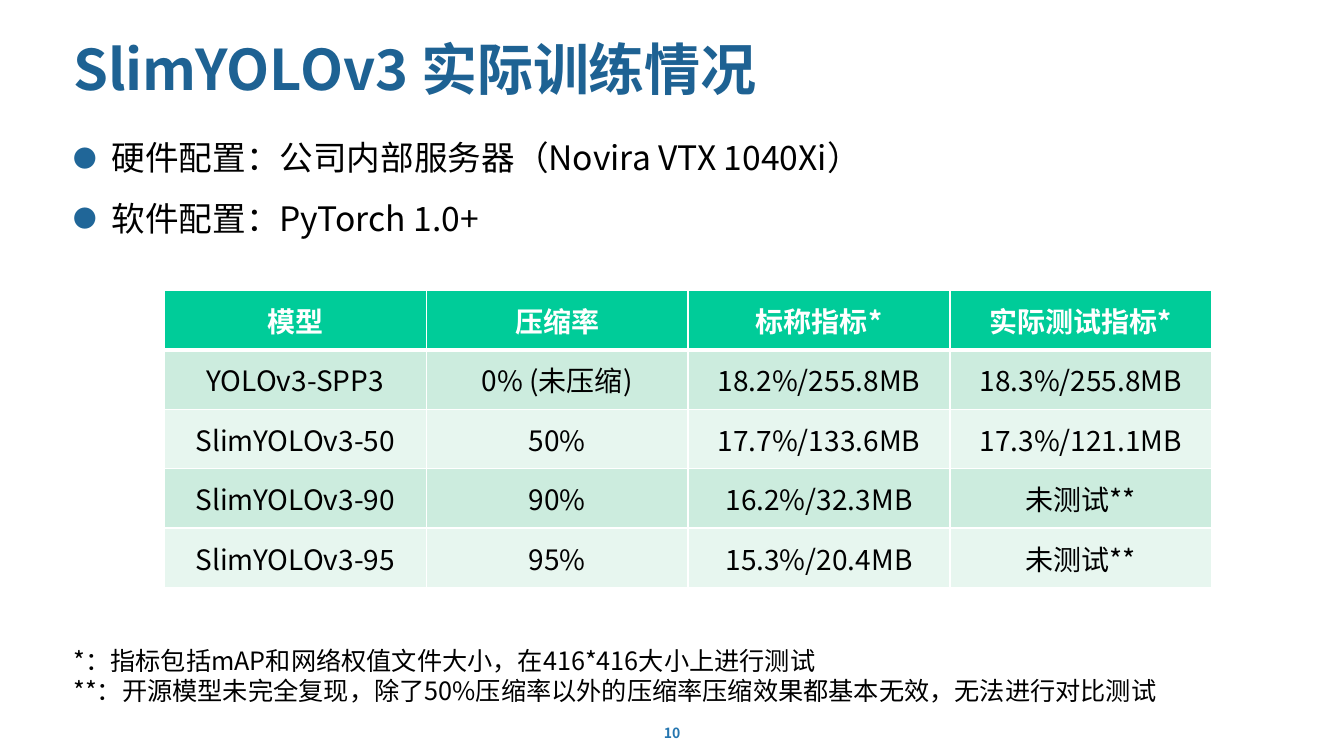
from dataclasses import dataclass

from lxml import etree
from pptx import Presentation, util as u
from pptx.dml.color import RGBColor
from pptx.enum import text
from pptx.oxml import ns


@dataclass(frozen=True)
class Theme:
    font: str = "Noto Sans CJK SC"
    title: str = "1E6293"
    bullet: str = "206698"
    number: str = "2576B0"
    ink: str = "000000"
    paper: str = "FFFFFF"
    header: str = "00CC99"
    bands: tuple = ("CCECDE", "E7F6EF")
    title_size: int = 40
    body_size: int = 24
    table_size: int = 20
    note_size: int = 18
    number_size: int = 10


WIDTH, HEIGHT = 13.33, 7.5
LEFT, TEXT_WIDTH = 0.63 / WIDTH, 12.07 / WIDTH
CENTER = text.PP_ALIGN.CENTER
MIDDLE = text.MSO_ANCHOR.MIDDLE


def write(tf, content, *, size, color, font, bold=False, align=None,
          anchor=text.MSO_ANCHOR.TOP, spacing=None):
    tf.word_wrap = True
    tf.vertical_anchor = anchor
    for i, line in enumerate(content.split("\n")):
        p = tf.add_paragraph() if i else tf.paragraphs[0]
        p.alignment = align
        p.line_spacing = spacing
        r = p.add_run()
        r.text = line
        r.font.size = u.Pt(size)
        r.font.bold = bold
        r.font.name = font
        r.font.color.rgb = RGBColor.from_string(color)
        etree.SubElement(r.font._element, ns.qn("a:ea"), typeface=font)


class Deck:
    def __init__(self, theme):
        self.theme = theme
        self.prs = Presentation()
        self.prs.slide_width = u.Inches(WIDTH)
        self.prs.slide_height = u.Inches(HEIGHT)
        self.s = self.prs.slides.add_slide(self.prs.slide_layouts[6])

    def box(self, x, y, w, h):
        return (int(x * self.prs.slide_width), int(y * self.prs.slide_height),
                int(w * self.prs.slide_width), int(h * self.prs.slide_height))

    def label(self, content, x, y, w, h, **style):
        sp = self.s.shapes.add_textbox(*self.box(x, y, w, h))
        write(sp.text_frame, content, font=self.theme.font, **style)
        return sp

    def bullets(self, content, x, y, w, h, **style):
        sp = self.label(content, x, y, w, h, **style)
        indent = u.Inches(0.38)
        for p in sp.text_frame.paragraphs:
            pPr = p._p.get_or_add_pPr()
            pPr.set("marL", str(indent))
            pPr.set("indent", str(-indent))
            color = etree.SubElement(pPr, ns.qn("a:buClr"))
            etree.SubElement(color, ns.qn("a:srgbClr"), val=self.theme.bullet)
            etree.SubElement(pPr, ns.qn("a:buSzPct"), val="70000")
            etree.SubElement(pPr, ns.qn("a:buFont"), typeface=self.theme.font)
            etree.SubElement(pPr, ns.qn("a:buChar"), char="●")

    def borders(self, cell, **widths):
        tcPr = cell._tc.get_or_add_tcPr()
        for i, (side, width) in enumerate(widths.items()):
            ln = etree.Element(ns.qn(f"a:ln{side}"), w=str(u.Pt(width)))
            fill = etree.SubElement(ln, ns.qn("a:solidFill"))
            etree.SubElement(fill, ns.qn("a:srgbClr"), val=self.theme.paper)
            tcPr.insert(i, ln)

    def table(self, rows, x, y, w, h):
        t = self.theme
        grid = self.s.shapes.add_table(
            len(rows), len(rows[0]), *self.box(x, y, w, h)).table
        for i, row in enumerate(rows):
            head = i == 0
            for j, value in enumerate(row):
                cell = grid.cell(i, j)
                cell.fill.solid()
                cell.fill.fore_color.rgb = RGBColor.from_string(
                    t.header if head else t.bands[(i - 1) % 2])
                cell.vertical_anchor = MIDDLE
                write(cell.text_frame, value, font=t.font, size=t.table_size,
                      color=t.paper if head else t.ink, bold=head,
                      align=CENTER, anchor=MIDDLE)
                self.borders(cell, L=1, R=1, T=3 if i == 1 else 1,
                             B=3 if head else 1)


def main():
    t = Theme()
    deck = Deck(t)
    deck.label("10", 6.22 / WIDTH, 7.14 / HEIGHT, 0.89 / WIDTH, 0.25 / HEIGHT,
               size=t.number_size, color=t.number, bold=True, align=CENTER)
    deck.bullets("硬件配置：公司内部服务器（Novira VTX 1040Xi）\n软件配置：PyTorch 1.0+",
                 LEFT, 1.11 / HEIGHT, TEXT_WIDTH, 1.4 / HEIGHT,
                 size=t.body_size, color=t.ink, spacing=1.5)
    deck.label("SlimYOLOv3 实际训练情况", LEFT, 0.36 / HEIGHT, TEXT_WIDTH, 0.63 / HEIGHT,
               size=t.title_size, color=t.title, bold=True, anchor=MIDDLE)
    deck.table([
        ("模型", "压缩率", "标称指标*", "实际测试指标*"),
        ("YOLOv3-SPP3", "0% (未压缩)", "18.2%/255.8MB", "18.3%/255.8MB"),
        ("SlimYOLOv3-50", "50%", "17.7%/133.6MB", "17.3%/121.1MB"),
        ("SlimYOLOv3-90", "90%", "16.2%/32.3MB", "未测试**"),
        ("SlimYOLOv3-95", "95%", "15.3%/20.4MB", "未测试**"),
    ], 1.63 / WIDTH, 2.88 / HEIGHT, 10.39 / WIDTH, 2.95 / HEIGHT)
    deck.label("*：指标包括mAP和网络权值文件大小，在416*416大小上进行测试\n"
               "**：开源模型未完全复现，除了50%压缩率以外的压缩率压缩效果都基本无效，无法进行对比测试",
               LEFT, 6.35 / HEIGHT, TEXT_WIDTH, 0.71 / HEIGHT,
               size=t.note_size, color=t.ink)
    deck.prs.save("out.pptx")


if __name__ == "__main__":
    main()
